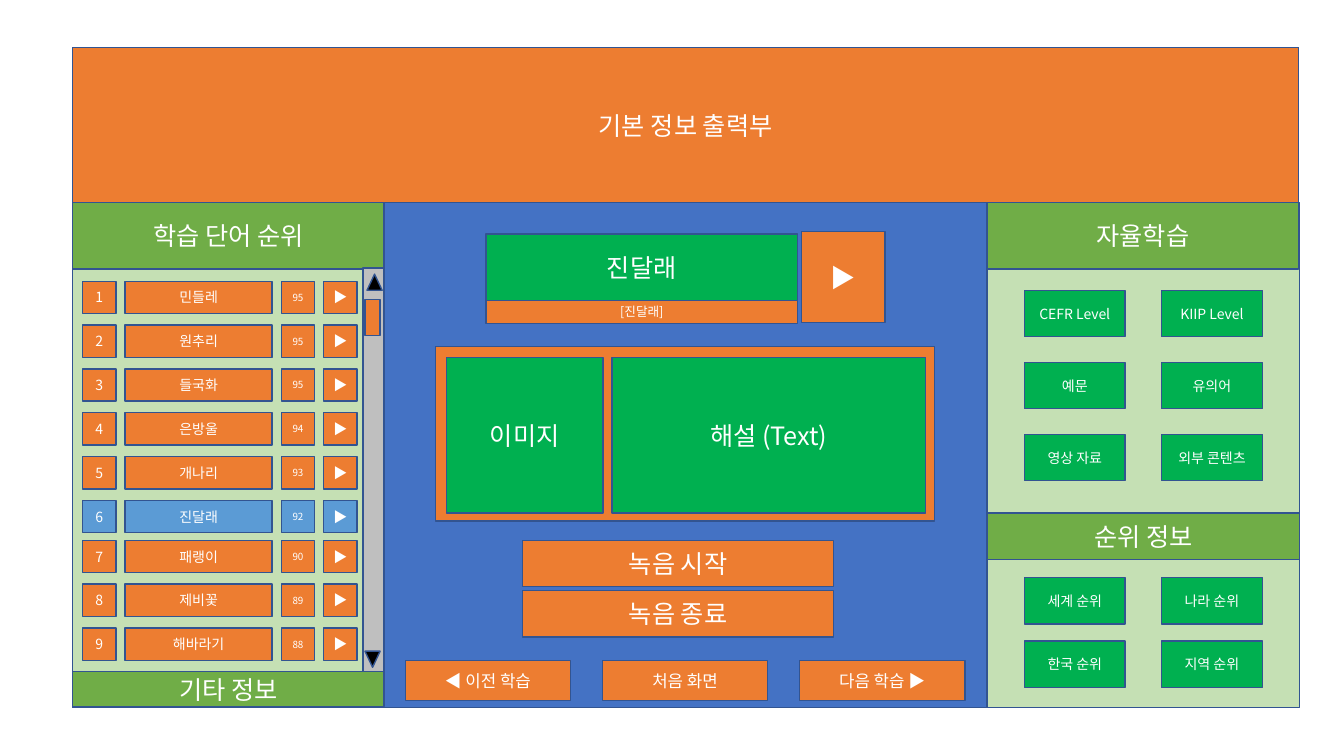
from lxml.etree import SubElement
from pptx import Presentation
from pptx.dml.color import RGBColor
from pptx.enum.shapes import MSO_SHAPE as SHAPE
from pptx.enum.text import MSO_ANCHOR as ANCHOR, MSO_AUTO_SIZE as AUTO, PP_ALIGN as ALIGN
from pptx.oxml.ns import qn
from pptx.util import Inches, Pt

FONT = "Noto Sans CJK KR"
WHITE = RGBColor(0xFF, 0xFF, 0xFF)
BLACK = RGBColor(0, 0, 0)
BLUE = RGBColor(0x44, 0x72, 0xC4)
LIGHT_BLUE = RGBColor(0x5B, 0x9B, 0xD5)
NAVY = RGBColor(0x32, 0x54, 0x91)
ORANGE = RGBColor(0xED, 0x7D, 0x31)
PALE = RGBColor(0xC5, 0xE0, 0xB4)
OLIVE = RGBColor(0x70, 0xAD, 0x47)
GREEN = RGBColor(0x00, 0xB0, 0x50)
GRAY = RGBColor(0xBF, 0xBF, 0xBF)

TITLE = "기본 정보 출력부"
WORDS = [("민들레", 95), ("원추리", 95), ("들국화", 95), ("은방울", 94), ("개나리", 93),
         ("진달래", 92), ("패랭이", 90), ("제비꽃", 89), ("해바라기", 88)]
CURRENT = "진달래"
STUDY = [("CEFR Level", "KIIP Level"), ("예문", "유의어"), ("영상 자료", "외부 콘텐츠")]
RANKS = [("세계 순위", "나라 순위"), ("한국 순위", "지역 순위")]
RECORD = ["녹음 시작", "녹음 종료"]
NAVIGATION = ["◀ 이전 학습", "처음 화면", "다음 학습 ▶"]

LEFT, RIGHT_X, BODY_Y = 0.72, 9.79, 2.01
SIDE_W, HEADER_H, BODY_H = 3.09, 0.66, 5.01
WORD_COLUMNS = [(0.82, 0.33, 10), (1.24, 1.46, 10), (2.79, 0.33, 7), (3.21, 0.33, 10)]
WORD_Y, WORD_STEP, LOWER_WORD_Y, UPPER_COUNT = 2.79, 0.435, 5.36, 6
BUTTON_X, BUTTON_STEP = 10.16, 1.36

prs = Presentation()
prs.slide_width, prs.slide_height = Inches(13.33), Inches(7.5)
s = prs.slides.add_slide(prs.slide_layouts[5])


def write(sp, text, size=18, color=WHITE):
    tf = sp.text_frame
    tf.auto_size = AUTO.NONE
    tf.word_wrap = True
    tf.vertical_anchor = ANCHOR.MIDDLE
    tf.margin_left = tf.margin_right = tf.margin_top = tf.margin_bottom = 0
    p = tf.paragraphs[0]
    p.alignment = ALIGN.CENTER
    p.line_spacing = 1.0
    r = p.add_run()
    r.text = text
    r.font.size, r.font.name = Pt(size), FONT
    r.font.color.rgb = color
    for props in sp.element.iter(qn("a:rPr")):
        SubElement(props, qn("a:ea"), typeface=FONT)


def paint(sp, fill):
    sp.fill.solid()
    sp.fill.fore_color.rgb = fill
    sp.line.color.rgb = NAVY
    sp.line.width = Pt(1)


def box(x, y, w, h, fill, text="", size=18, kind=SHAPE.RECTANGLE):
    sp = s.shapes.add_shape(kind, Inches(x), Inches(y), Inches(w), Inches(h))
    sp.shadow.inherit = False
    paint(sp, fill)
    if text:
        write(sp, text, size=size)
    return sp


def button_grid(labels, y, step):
    for row, pair in enumerate(labels):
        for col, label in enumerate(pair):
            box(BUTTON_X + col * BUTTON_STEP, y + row * step, 1, 0.46, GREEN, label, 10)


box(LEFT, 0.47, 12.16, 6.55, BLUE)
box(RIGHT_X, BODY_Y, 3.1, BODY_H, PALE)

title = s.shapes.title
title.left, title.top = Inches(LEFT), Inches(0.47)
title.width, title.height = Inches(12.16), Inches(1.54)
paint(title, ORANGE)
write(title, TITLE)
title.element.getparent().append(title.element)

box(LEFT, BODY_Y, 2.88, BODY_H, PALE)
box(LEFT, BODY_Y, SIDE_W, HEADER_H, OLIVE, "학습 단어 순위")
for i, (word, score) in enumerate(WORDS):
    y = WORD_Y + i * WORD_STEP
    if i >= UPPER_COUNT:
        y = LOWER_WORD_Y + (i - UPPER_COUNT) * WORD_STEP
    fill = LIGHT_BLUE if word == CURRENT else ORANGE
    for (x, w, size), text in zip(WORD_COLUMNS, (str(i + 1), word, str(score), "▶")):
        box(x, y, w, 0.32, fill, text, size)
box(LEFT, 6.66, SIDE_W, 0.35, OLIVE, "기타 정보")

box(3.6, 2.66, 0.21, 4, GRAY)
box(3.64, 2.72, 0.15, 0.16, BLACK, kind=SHAPE.ISOSCELES_TRIANGLE)
box(3.62, 6.46, 0.15, 0.16, BLACK, kind=SHAPE.ISOSCELES_TRIANGLE).rotation = 180
box(3.62, 2.97, 0.15, 0.36, ORANGE)

box(4.82, 2.32, SIDE_W, 0.66, GREEN, CURRENT)
box(4.82, 2.98, SIDE_W, 0.23, ORANGE, f"[{CURRENT}]", 9)
box(7.95, 2.3, 0.83, 0.9, ORANGE, "▶")
box(4.32, 3.44, 4.95, 1.73, ORANGE)
box(4.43, 3.55, 1.55, 1.54, GREEN, "이미지")
box(6.07, 3.55, 3.11, 1.54, GREEN, "해설 (Text)")
for i, label in enumerate(RECORD):
    box(5.18, 5.36 + i * 0.5, SIDE_W, 0.46, ORANGE, label)
for i, label in enumerate(NAVIGATION):
    box(4.02 + i * 1.955, 6.55, 1.64, 0.4, ORANGE, label, 12)

box(RIGHT_X, BODY_Y, SIDE_W, HEADER_H, OLIVE, "자율학습")
button_grid(STUDY, 2.88, 0.715)
box(RIGHT_X, 5.09, 3.1, 0.46, OLIVE, "순위 정보")
button_grid(RANKS, 5.73, 0.63)

prs.save("out.pptx")
